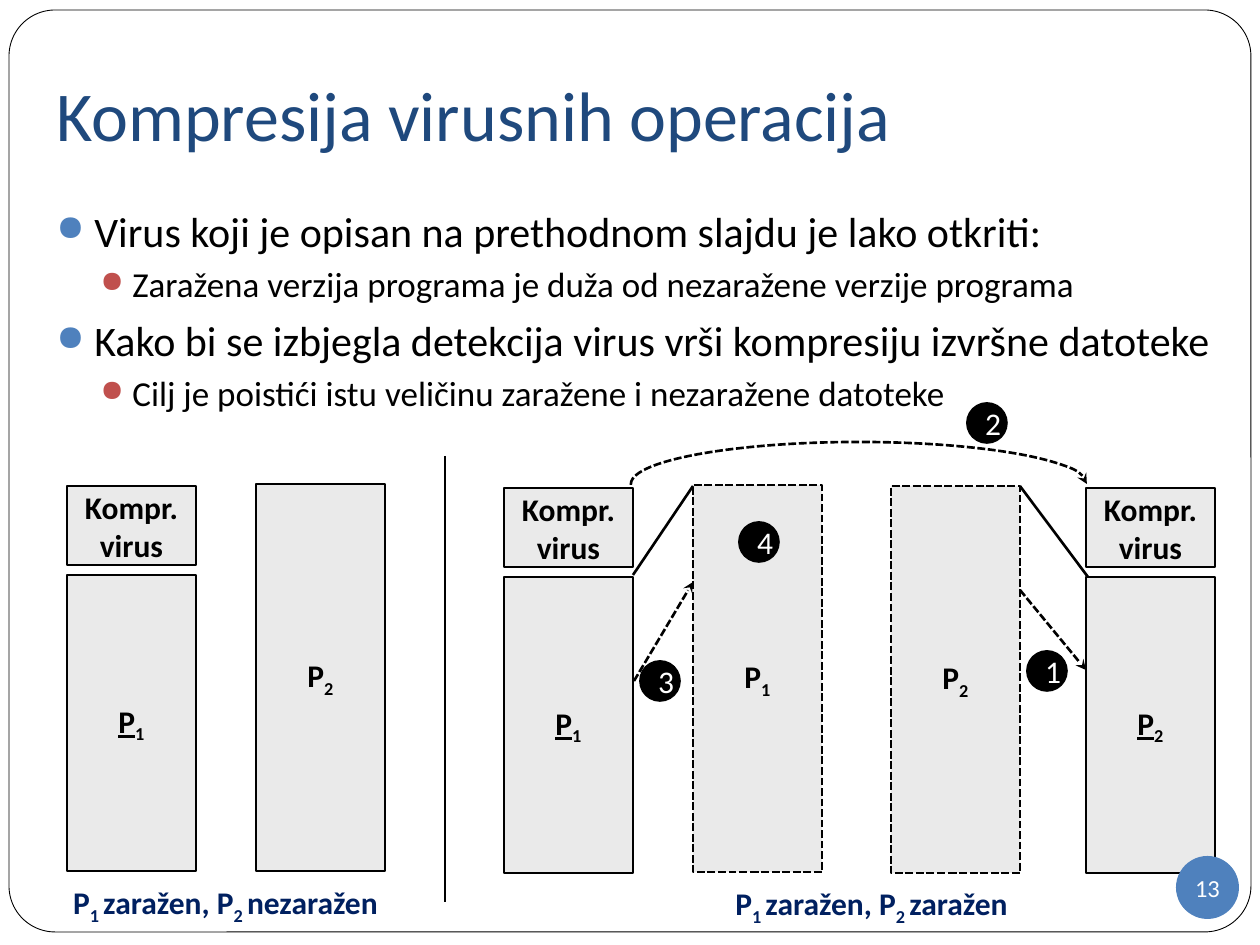
from pptx import Presentation
from pptx.dml.color import RGBColor
from pptx.enum.dml import MSO_LINE
from pptx.enum.shapes import MSO_CONNECTOR, MSO_SHAPE
from pptx.enum.text import MSO_ANCHOR, MSO_AUTO_SIZE, PP_ALIGN
from pptx.oxml.ns import qn
from pptx.util import Pt
from lxml import etree

BLACK = RGBColor(0x00, 0x00, 0x00)
WHITE = RGBColor(0xFF, 0xFF, 0xFF)
GRAY = RGBColor(0xEA, 0xEA, 0xEA)
BLUE = RGBColor(0x4F, 0x81, 0xBD)
RED = RGBColor(0xC0, 0x50, 0x4D)
DEEP = RGBColor(0x1F, 0x49, 0x7D)
NAVY = RGBColor(0x00, 0x20, 0x60)

RECT, OVAL = MSO_SHAPE.RECTANGLE, MSO_SHAPE.OVAL
ROUND, ARC = MSO_SHAPE.ROUNDED_RECTANGLE, MSO_SHAPE.ARC
STRAIGHT = MSO_CONNECTOR.STRAIGHT
DASH = MSO_LINE.SQUARE_DOT
LEFT, CENTER = PP_ALIGN.LEFT, PP_ALIGN.CENTER
TOP, MIDDLE = MSO_ANCHOR.TOP, MSO_ANCHOR.MIDDLE
GROW = MSO_AUTO_SIZE.SHAPE_TO_FIT_TEXT

SCALE = 914400 / 126


def px(n):
    return round(n * SCALE)


def write(para, text, size=18, color=BLACK, bold=False, under=False, align=CENTER):
    """Fill a paragraph; every second piece between bars is a subscript."""
    para.alignment = align
    for i, part in enumerate(text.split("|")):
        run = para.add_run()
        run.text = part
        font = run.font
        font.name, font.size, font.bold = "Calibri", Pt(size), bold
        font.color.rgb = color
        if i % 2:
            run._r.get_or_add_rPr().set("baseline", "-25000")
        elif under:
            font.underline = True


def bullet(para, color, left, hang):
    props = para._p.get_or_add_pPr()
    props.set("marL", str(px(left)))
    props.set("indent", str(-px(hang)))
    tint = etree.SubElement(props, qn("a:buClr"))
    etree.SubElement(tint, qn("a:srgbClr"), val=str(color))
    etree.SubElement(props, qn("a:buSzPct"), val="85000")
    etree.SubElement(props, qn("a:buChar"), char="●")


class Deck:
    def __init__(self):
        self.prs = Presentation()
        self.prs.slide_width, self.prs.slide_height = px(1260), px(945)
        self.slide = self.prs.slides.add_slide(self.prs.slide_layouts[6])
        self.shapes = self.slide.shapes

    def stroke(self, line, width=1.5, dash=False, arrow=False):
        line.color.rgb = BLACK
        line.width = Pt(width)
        if dash:
            line.dash_style = DASH
        if arrow:
            etree.SubElement(line._get_or_add_ln(), qn("a:tailEnd"), type="stealth")

    def shape(self, kind, x, y, w, h, fill=None, width=1.5, dash=False, arrow=False):
        shape = self.shapes.add_shape(kind, px(x), px(y), px(w), px(h))
        shape.shadow.inherit = False
        if fill is None:
            shape.fill.background()
        else:
            shape.fill.solid()
            shape.fill.fore_color.rgb = fill
        if width:
            self.stroke(shape.line, width, dash, arrow)
        else:
            shape.line.fill.background()
        return shape

    def text(self, x, y, w, h, anchor=TOP, wrap=True):
        frame = self.shapes.add_textbox(px(x), px(y), px(w), px(h)).text_frame
        frame.word_wrap = wrap
        frame.vertical_anchor = anchor
        return frame

    def box(self, x, y, h, text, dash=False, under=False):
        frame = self.shape(RECT, x, y, 129, h, GRAY, dash=dash).text_frame
        frame.vertical_anchor = MIDDLE
        write(frame.paragraphs[0], text, bold=True, under=under)

    def stack(self, x, y, text):
        """Compressed virus above the infected program."""
        self.box(x, y, 79, "Kompr. virus")
        self.box(x, y + 89, 296, text, under=True)

    def dot(self, x, y, text):
        frame = self.shape(OVAL, x, y, 40, 40, BLACK, 1).text_frame
        frame.vertical_anchor = MIDDLE
        write(frame.paragraphs[0], text, color=WHITE)

    def label(self, x, y, w, text):
        frame = self.text(x, y, w, 50, wrap=False)
        frame.auto_size = GROW
        write(frame.paragraphs[0], text, color=NAVY, bold=True)

    def line(self, x1, y1, x2, y2, dash=False, arrow=False):
        line = self.shapes.add_connector(STRAIGHT, px(x1), px(y1), px(x2), px(y2))
        self.stroke(line.line, dash=dash, arrow=arrow)
        etree.SubElement(line._element.spPr, qn("a:effectLst"))


def main():
    deck = Deck()

    # Frame
    frame = deck.shape(ROUND, 9, 10, 1242, 922, WHITE, 0.5)
    frame.adjustments[0] = 0.05

    # Title
    title = deck.text(44, 38, 1181, 157, MIDDLE)
    title.margin_bottom = px(13)
    write(title.paragraphs[0], "Kompresija virusnih operacija", 40, DEEP, align=LEFT)

    # Bullets
    items = [
        (0, "Virus koji je opisan na prethodnom slajdu je lako otkriti:"),
        (1, "Zaražena verzija programa je duža od nezaražene verzije programa"),
        (0, "Kako bi se izbjegla detekcija virus vrši kompresiju izvršne datoteke"),
        (1, "Cilj je poistići istu veličinu zaražene i nezaražene datoteke"),
    ]
    levels = [(24, 5.8, BLUE, 38, 38), (20, 3.8, RED, 76, 32)]
    body = deck.text(44, 199, 1181, 709)
    for i, (level, text) in enumerate(items):
        size, space, color, left, hang = levels[level]
        para = body.add_paragraph() if i else body.paragraphs[0]
        para.level = level
        para.space_before = Pt(space)
        write(para, text, size, align=LEFT)
        bullet(para, color, left, hang)

    # Left side: one infected program
    deck.stack(67, 486, "P|1")
    deck.box(256, 484, 387, "P|2")
    deck.label(55, 877, 341, "P|1 |zaražen, P|2 |nezaražen")

    # Right side: both programs infected
    deck.label(717, 878, 309, "P|1 |zaražen, P|2 |zaražen")
    deck.line(445, 456, 445, 902)
    deck.stack(504, 488, "P|1")
    deck.box(693, 485, 387, "P|1", dash=True)
    deck.line(633, 575, 693, 486)
    deck.box(891, 486, 387, "P|2", dash=True)
    deck.stack(1086, 488, "P|2")

    # Page number
    page = deck.shape(OVAL, 1176, 856, 63, 63, BLUE, 0).text_frame
    page.margin_left = page.margin_right = page.margin_top = page.margin_bottom = 0
    page.word_wrap = False
    page.vertical_anchor = MIDDLE
    write(page.paragraphs[0], "13", 14, WHITE)

    # Steps
    deck.line(1088, 577, 1020, 486)
    deck.line(1020, 590, 1086, 670, dash=True, arrow=True)
    deck.dot(1027, 651, "1")
    arc = deck.shape(ARC, 631, 442, 456, 84, dash=True, arrow=True)
    arc.adjustments[0], arc.adjustments[1] = 107.87, 0
    deck.dot(967, 403, "2")
    deck.line(634, 681, 693, 582, dash=True, arrow=True)
    deck.dot(640, 661, "3")
    deck.dot(739, 522, "4")

    deck.prs.save("out.pptx")


if __name__ == "__main__":
    main()
